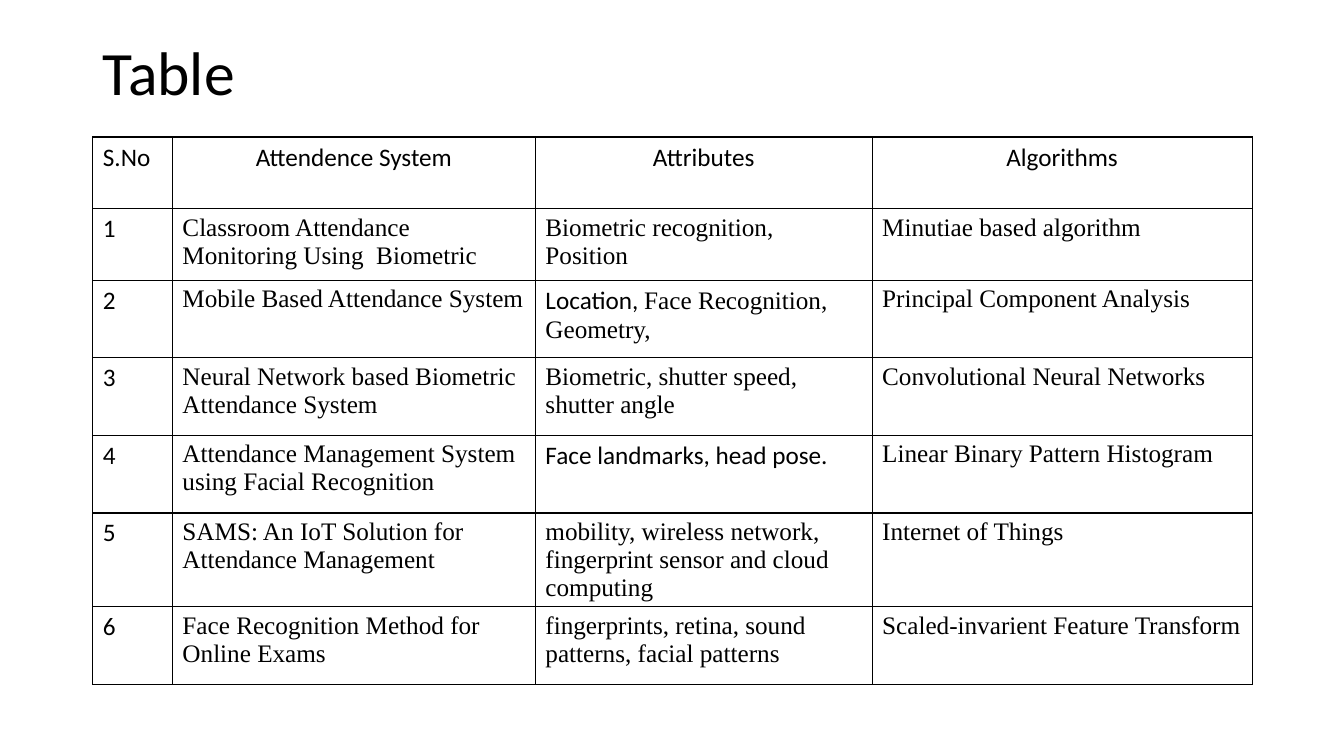
import lxml.etree
import pptx
import pptx.dml.color
import pptx.enum.text
import pptx.oxml.ns
import pptx.util

PX = 9144  # 100 px to the inch
SANS, SERIF = "Calibri", "Times New Roman"
INK = "000000"
ALIGN = pptx.enum.text.PP_ALIGN

COLUMN_WIDTHS = [79, 360, 334, 377]
ROW_HEIGHTS = [71] * 2 + [77] * 5
HEADINGS = ["S.No", "Attendence System", "Attributes", "Algorithms"]
# A cell is a serif string, or a list of (text, font) runs.
SYSTEMS = [
    ("Classroom Attendance Monitoring Using  Biometric",
     "Biometric recognition, Position",
     "Minutiae based algorithm"),
    ("Mobile Based Attendance System",
     [("Location, ", SANS), ("Face Recognition, Geometry,", SERIF)],
     "Principal Component Analysis"),
    ("Neural Network based Biometric Attendance System",
     "Biometric, shutter speed, shutter angle",
     "Convolutional Neural Networks"),
    ("Attendance Management System using Facial Recognition",
     [("Face landmarks, head pose.", SANS)],
     "Linear Binary Pattern Histogram"),
    ("SAMS: An IoT Solution for Attendance Management",
     "mobility, wireless network, fingerprint sensor and cloud computing",
     "Internet of Things"),
    ("Face Recognition Method for Online Exams",
     "fingerprints, retina, sound patterns, facial patterns",
     "Scaled-invarient Feature Transform"),
]


def add_run(paragraph, text, font_name, size):
    run = paragraph.add_run()
    run.text = text
    style = {"name": font_name, "size": pptx.util.Pt(size), "bold": False}
    for key, value in style.items():
        setattr(run.font, key, value)
    run.font.color.rgb = pptx.dml.color.RGBColor.from_string(INK)


def add_borders(cell):
    properties = cell._tc.get_or_add_tcPr()
    for side in ("a:lnL", "a:lnR", "a:lnT", "a:lnB"):
        line = lxml.etree.SubElement(properties, pptx.oxml.ns.qn(side), w="12700")
        fill = lxml.etree.SubElement(line, pptx.oxml.ns.qn("a:solidFill"))
        lxml.etree.SubElement(fill, pptx.oxml.ns.qn("a:srgbClr"), val=INK)


deck = pptx.Presentation()
deck.slide_width, deck.slide_height = 1333 * PX, 750 * PX
slide = deck.slides.add_slide(deck.slide_layouts[5])

heading = slide.shapes.title
for key, value in {"left": 92, "top": 40, "width": 1150, "height": 69}.items():
    setattr(heading, key, value * PX)
frame_format = {
    "auto_size": pptx.enum.text.MSO_AUTO_SIZE.NONE,
    "vertical_anchor": pptx.enum.text.MSO_ANCHOR.MIDDLE,
    "word_wrap": True,
}
for key, value in frame_format.items():
    setattr(heading.text_frame, key, value)
heading_line = heading.text_frame.paragraphs[0]
heading_line.alignment = ALIGN.LEFT
heading_line.line_spacing = 0.9
add_run(heading_line, "Table", SANS, 44)

comparison = slide.shapes.add_table(
    len(ROW_HEIGHTS), len(COLUMN_WIDTHS), 92 * PX, 136 * PX,
    sum(COLUMN_WIDTHS) * PX, sum(ROW_HEIGHTS) * PX).table
comparison.first_row = comparison.horz_banding = False
for column, width in zip(comparison.columns, COLUMN_WIDTHS):
    column.width = width * PX
for row, height in zip(comparison.rows, ROW_HEIGHTS):
    row.height = height * PX

rows = [[[(text, SANS)] for text in HEADINGS]]
for number, entries in enumerate(SYSTEMS, 1):
    rows.append([[(str(number), SANS)], *entries])

for r, entries in enumerate(rows):
    for c, entry in enumerate(entries):
        cell = comparison.cell(r, c)
        add_borders(cell)
        cell.fill.background()
        paragraph = cell.text_frame.paragraphs[0]
        paragraph.alignment = ALIGN.CENTER if r == 0 and c > 0 else ALIGN.LEFT
        runs = [(entry, SERIF)] if isinstance(entry, str) else entry
        for text, font_name in runs:
            add_run(paragraph, text, font_name, 18)

deck.save("out.pptx")
